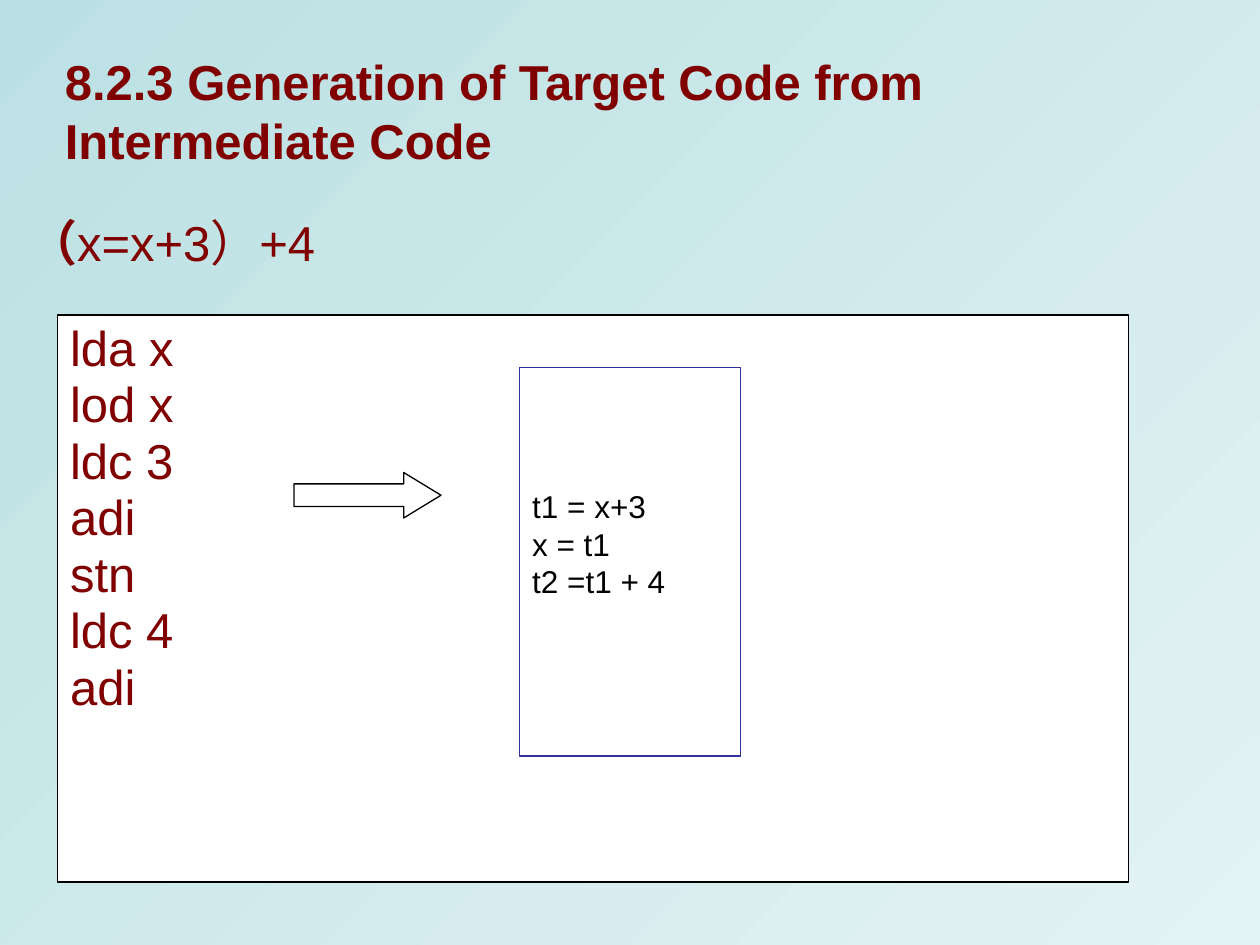
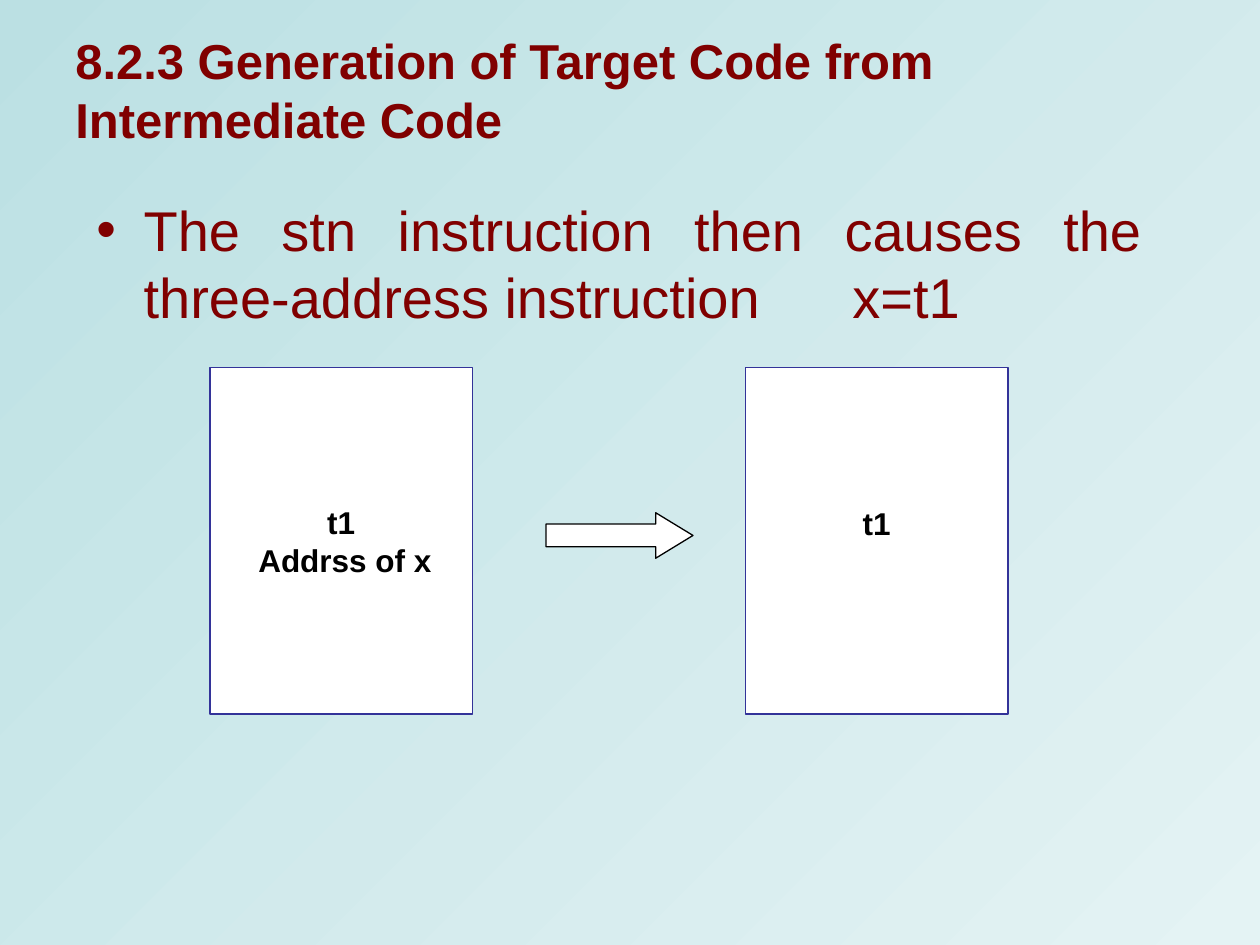
from dataclasses import dataclass

from lxml import etree
from pptx import Presentation
from pptx.dml.color import RGBColor
from pptx.enum.shapes import MSO_SHAPE as Preset
from pptx.enum.text import MSO_ANCHOR as Anchor, PP_ALIGN as Align
from pptx.oxml.ns import qn
from pptx.util import Pt

# Content
TITLE = "8.2.3 Generation of Target Code from Intermediate Code"
EXPRESSION = [("（", True), ("x=x+3）+4", False)]
P_CODE = ["lda x", "lod x", "ldc 3", "adi", "stn", "ldc 4", "adi"]
THREE_ADDRESS_CODE = ["t1 = x+3", "x = t1", "t2 =t1 + 4"]
STN_EFFECT = "The stn instruction then causes the three-address instruction\tx=t1"
STACK_BEFORE = ["t1", " Addrss of x"]
STACK_AFTER = ["t1"]


@dataclass(frozen=True)
class Theme:
    font: str = "Arial"
    maroon: str = "800000"
    black: str = "000000"
    white: str = "FFFFFF"
    navy: str = "333399"
    background: tuple = ("BBE0E3", "E4F3F4")
    title_size: int = 28
    bullet_size: int = 32
    box_size: int = 18
    line_width: float = 0.75


THEME = Theme()
BOX_TOP = 210
STACK_SIZE = (150, 198)
ARROW_SIZE = (84, 26)
SPARE_LINE = 20.7  # height of one free line below the text in a box


def color(value):
    return RGBColor.from_string(value)


def style(paragraph, size, ink, bold=False, align=Align.LEFT):
    paragraph.alignment = align
    font = paragraph.font
    font.name, font.size, font.bold = THEME.font, Pt(size), bold
    font.color.rgb = color(ink)


def add_slide(presentation, title_area):
    slide = presentation.slides.add_slide(presentation.slide_layouts[6])
    fill = slide.background.fill
    fill.gradient()
    fill.gradient_angle = 315
    for stop, position, value in zip(fill.gradient_stops, (0, 1), THEME.background):
        stop.position = position
        stop.color.rgb = color(value)
    title = add_text(slide, title_area, Anchor.MIDDLE)
    title.text = TITLE
    style(title, THEME.title_size, THEME.maroon, bold=True)
    return slide


def add_text(slide, area, anchor=Anchor.TOP):
    """Add a wrapping text box and return its first paragraph."""
    frame = slide.shapes.add_textbox(*map(Pt, area)).text_frame
    frame.word_wrap = True
    frame.vertical_anchor = anchor
    return frame.paragraphs[0]


def add_outlined(slide, preset, area, line):
    shape = slide.shapes.add_shape(preset, *map(Pt, area))
    shape.shadow.inherit = False
    shape.fill.solid()
    shape.fill.fore_color.rgb = color(THEME.white)
    shape.line.color.rgb = color(line)
    shape.line.width = Pt(THEME.line_width)
    return shape


def add_box(slide, area, lines, line=THEME.navy, size=THEME.box_size, ink=THEME.black,
            bold=False, align=Align.LEFT, anchor=Anchor.MIDDLE, spacing=1.0, spare_lines=0):
    frame = add_outlined(slide, Preset.RECTANGLE, area, line).text_frame
    frame.word_wrap = True
    frame.vertical_anchor = anchor
    frame.margin_bottom = Pt(3.6 + spare_lines * SPARE_LINE)
    for index, text in enumerate(lines):
        paragraph = frame.add_paragraph() if index else frame.paragraphs[0]
        paragraph.text = text
        paragraph.line_spacing = spacing
        style(paragraph, size, ink, bold, align)


def add_arrow(slide, left, top):
    arrow = add_outlined(slide, Preset.RIGHT_ARROW, (left, top, *ARROW_SIZE), THEME.black)
    arrow.adjustments[1] = 0.82


def add_bullet(paragraph, indent, tab):
    properties = paragraph._p.get_or_add_pPr()
    properties.set("marL", str(Pt(indent)))
    properties.set("indent", str(-Pt(indent)))
    bullet_color = etree.SubElement(properties, qn("a:buClr"))
    etree.SubElement(bullet_color, qn("a:srgbClr"), val=THEME.maroon)
    etree.SubElement(properties, qn("a:buFont"), typeface=THEME.font)
    etree.SubElement(properties, qn("a:buChar"), char="•")
    tabs = etree.SubElement(properties, qn("a:tabLst"))
    etree.SubElement(tabs, qn("a:tab"), pos=str(Pt(tab)), algn="l")


def build_translation_slide(presentation):
    slide = add_slide(presentation, (30, 30, 660, 66))
    # P-code panel, and the three-address code it becomes
    add_box(slide, (33, 180, 612, 324), P_CODE, THEME.black, THEME.title_size,
            THEME.maroon, align=Align.JUSTIFY, anchor=Anchor.TOP, spacing=0.96)
    add_arrow(slide, 168, 270)
    add_box(slide, (297, BOX_TOP, 126, 222), THREE_ADDRESS_CODE, spare_lines=1)
    # Source expression
    expression = add_text(slide, (9, 114, 660, 48), Anchor.MIDDLE)
    style(expression, THEME.title_size, THEME.maroon)
    for text, bold in EXPRESSION:
        run = expression.add_run()
        run.text = text
        run.font.bold = bold


def build_stack_slide(presentation):
    slide = add_slide(presentation, (36, 30, 612, 42))
    # Statement
    statement = add_text(slide, (48, 108, 612, 369))
    add_bullet(statement, indent=27, tab=432)
    statement.add_run().text = STN_EFFECT
    style(statement, THEME.bullet_size, THEME.maroon, align=Align.JUSTIFY)
    # Stack before and after the instruction
    for left, lines in ((120, STACK_BEFORE), (426, STACK_AFTER)):
        add_box(slide, (left, BOX_TOP, *STACK_SIZE), lines, bold=True,
                align=Align.CENTER, spare_lines=len(STACK_BEFORE) - len(lines))
    add_arrow(slide, 312, 293)


def main():
    presentation = Presentation()
    presentation.slide_width, presentation.slide_height = Pt(720), Pt(540)
    build_translation_slide(presentation)
    build_stack_slide(presentation)
    presentation.save("out.pptx")


if __name__ == "__main__":
    main()
